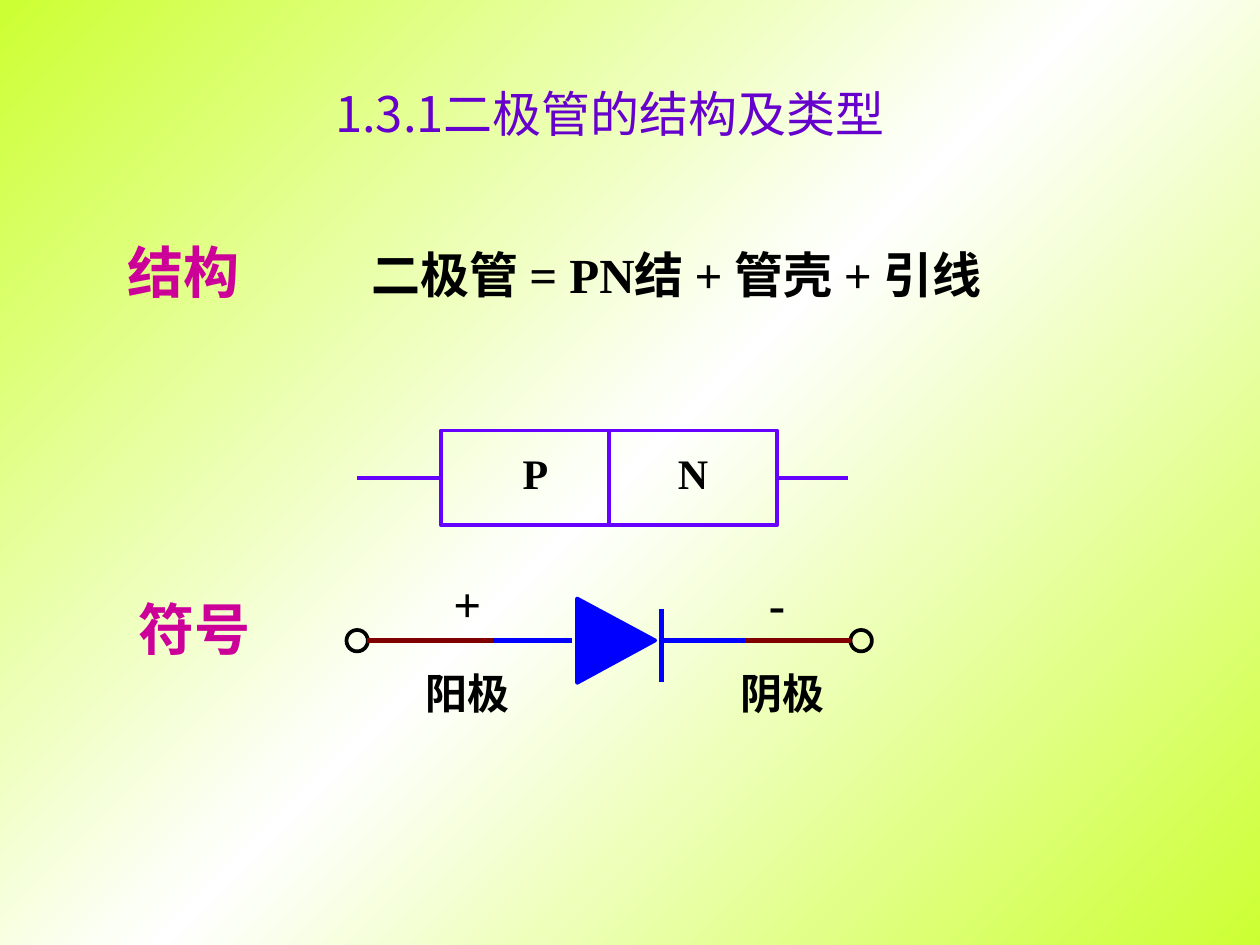
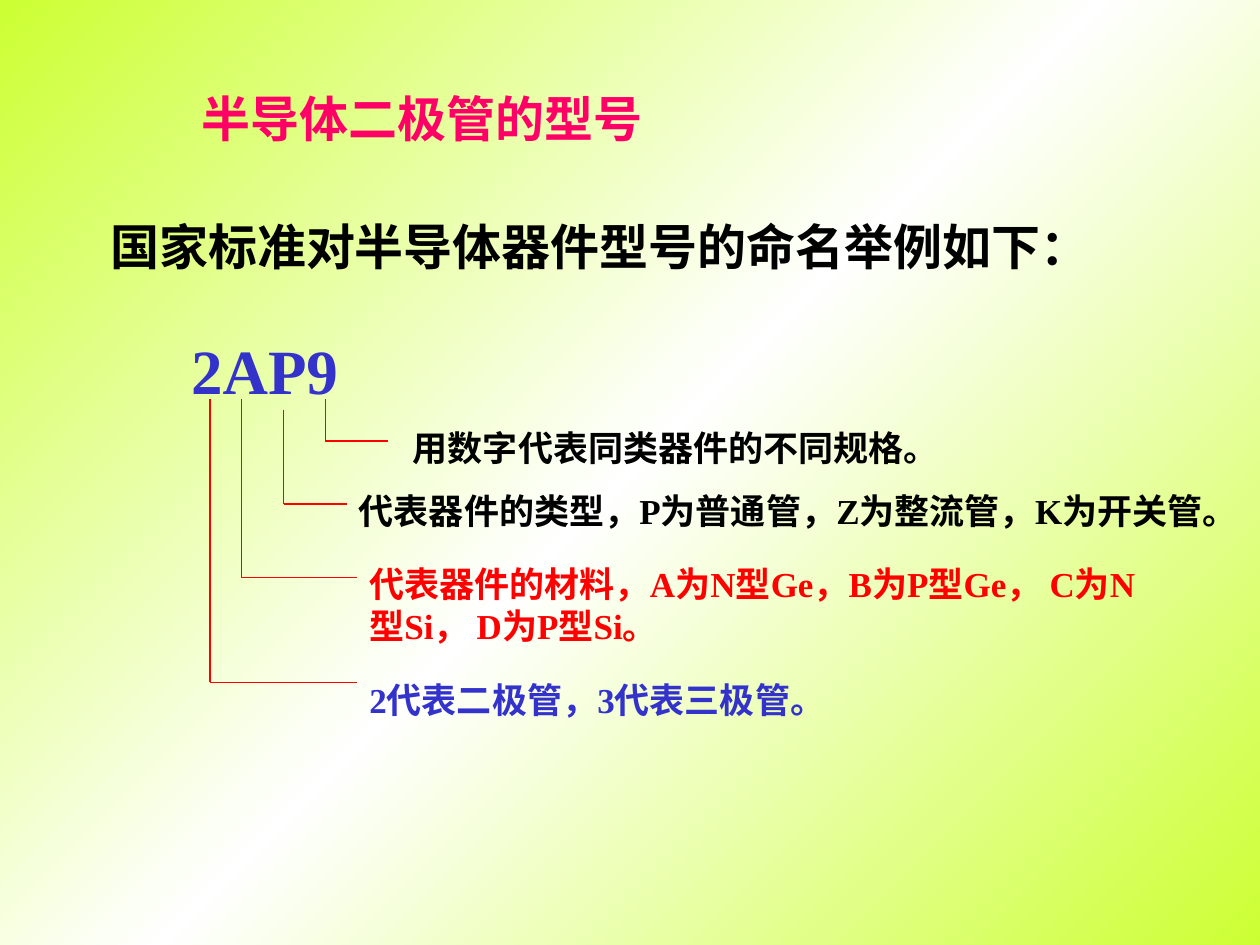
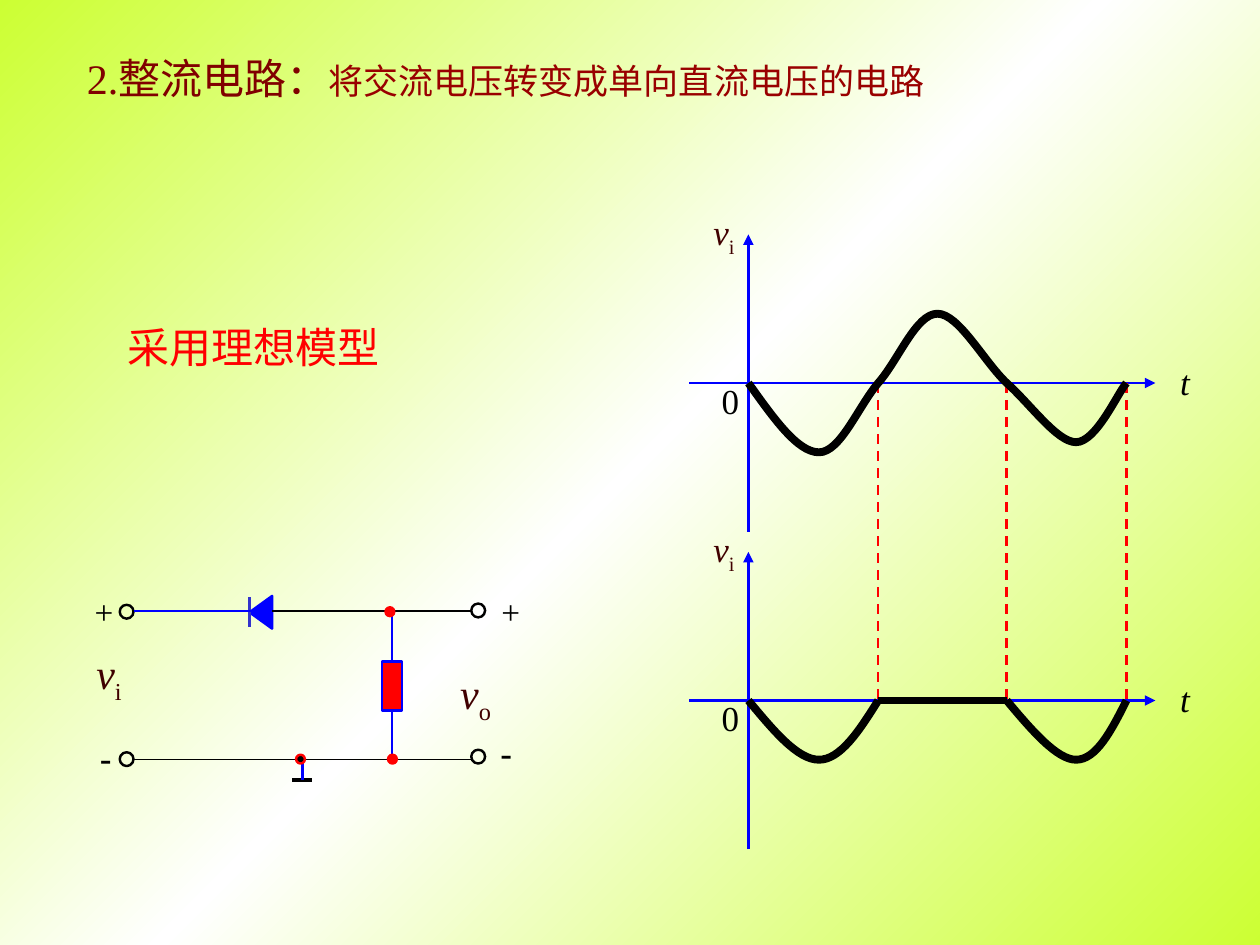
"""Build three lecture slides on the semiconductor diode."""
from copy import deepcopy

from lxml.etree import SubElement
from pptx import Presentation
from pptx.dml.color import RGBColor
from pptx.enum.dml import MSO_LINE
from pptx.enum.shapes import MSO_CONNECTOR, MSO_SHAPE
from pptx.enum.text import MSO_ANCHOR, MSO_AUTO_SIZE, PP_ALIGN
from pptx.oxml.ns import qn
from pptx.util import Emu, Inches, Pt

COLUMNS, ROWS = 10, 7.5
SLIDE_WIDTH = Inches(10)
CELL = SLIDE_WIDTH / COLUMNS
STEP = 1 / 12
TOP, LEFT, BOTTOM, RIGHT = range(4)
SERIF, SANS, CJK = "Times New Roman", "Arial", "Noto Sans CJK SC"
COLOURS = {
    "lime": "CCFF33", "white": "FFFFFF", "black": "000000", "violet": "6600FF",
    "purple": "6600CC", "blue": "0000FF", "indigo": "3333CC", "red": "FF0000",
    "maroon": "800000", "crimson": "990000", "brown": "400000",
    "magenta": "CC0099", "pink": "FF0066",
}

STRUCTURE_TITLE = [("1.3.1二极管的结构及类型", 28, "purple", {"font": CJK})]
FORMULA = "二极管 = PN结 + 管壳 + 引线"
HEADINGS = [("结构", 9 * STEP, 22 * STEP), ("符号", 10 * STEP, 56 * STEP)]
REGIONS = [("P", 4), ("N", 5.25)]
REGION_LEFT, REGION_TOP = 42 * STEP, 41 * STEP
REGION_WIDTH, REGION_HEIGHT = 16 * STEP, 9 * STEP
SYMBOL_AXIS = 61 * STEP
SYMBOL_WIRES = [(63, 71, "blue"), (47, 54.5, "blue"),
                (71, 81, "maroon"), (35, 47, "maroon")]
ELECTRODES = [("阳极", (38, 13), "+", (42, 5)),
              ("阴极", (69, 11), "-", (72, 4))]

MODEL_TITLE = [("半导体二极管的型号", 28, "pink", {"bold": True})]
MODEL_INTRO = "国家标准对半导体器件型号的命名举例如下："
CALLOUTS = [
    ("用数字代表同类器件的不同规格。", "black",
     (31, 38), (37, 42), (3.18, 40 * STEP, 4.37, 0.44), False),
    ("代表器件的类型，P为普通管，Z为整流管，K为开关管。", "black",
     (27, 39), (33, 48), (33 * STEP, 44 * STEP, 7.25, 0.77), True),
    ("代表器件的材料，A为N型Ge，B为P型Ge， C为N型Si， D为P型Si。", "red",
     (23, 38), (34, 55), (34 * STEP, 53 * STEP, 6.5, 0.77), True),
    ("2代表二极管，3代表三极管。", "indigo",
     (20, 38), (34, 65), (34 * STEP, 64 * STEP, 4.17, 0.44), True),
]

RECTIFIER_TITLE = [("2.整流电路：", 24, "maroon", {}),
                   ("将交流电压转变成单向直流电压的电路", 20, "crimson", {})]
UPPER_RAIL, LOWER_RAIL, LOAD_X = 4.85, 6.03, 3.11
TERMINALS = [(3.74, 5.95), (0.95, 5.97), (3.74, 4.79), (0.95, 4.8)]
JUNCTIONS = [(3.08, 5.99, "red"), (3.06, 4.82, "red"), (2.35, 5.99, "black")]
POLARITIES = [("+", 0.75, 4.69), ("+", 3.98, 4.69),
              ("-", 0.79, 5.84), ("-", 3.97, 5.8)]
VOLTAGES = [("i", 0.59, 5.09), ("o", 3.5, 5.25)]
PLOT_AXES = INPUT_AXIS, OUTPUT_AXIS = 3.04, 5.56
PLOT_ORIGIN = 5.94
CROSSINGS = [6.97, 7.99, 8.94]
INPUT_WAVE = [(5.94, 0), (6.14, 0.28), (6.33, 0.55), (6.5, 0.55),
              (6.67, 0.55), (6.81, 0.19), (6.97, 0),
              (7.13, -0.18), (7.27, -0.55), (7.44, -0.55),
              (7.61, -0.55), (7.81, -0.17), (7.99, 0),
              (8.18, 0.17), (8.39, 0.47), (8.54, 0.47),
              (8.7, 0.47), (8.87, 0.08), (8.94, 0)]
OUTPUT_WAVES = [
    [(5.94, 0), (6.14, 0.24), (6.33, 0.47), (6.5, 0.47),
     (6.67, 0.47), (6.82, 0.24), (6.97, 0)],
    [(7.99, 0), (8.19, 0.24), (8.39, 0.47), (8.54, 0.47),
     (8.7, 0.47), (8.82, 0.24), (8.94, 0)],
]


def rgb(colour):
    return RGBColor.from_string(COLOURS[colour])


def cells(*lengths):
    return [Emu(round(length * CELL)) for length in lengths]


def paint_background(master):
    fill = master.background.fill
    fill.gradient()
    fill.gradient_angle = 315
    stop_list = master.element.find(".//" + qn("a:gsLst"))
    stop_list.append(deepcopy(stop_list[0]))
    for index, colour in enumerate(("lime", "white", "lime")):
        stop = fill.gradient_stops[index]
        stop.position = index / 2
        stop.color.rgb = rgb(colour)


def write(holder, runs, align=PP_ALIGN.LEFT, anchor=MSO_ANCHOR.TOP, wrap=True,
          inset=True, spacing=None, indent=0):
    frame = holder.text_frame
    frame.auto_size = MSO_AUTO_SIZE.NONE
    frame.word_wrap = wrap
    frame.vertical_anchor = anchor
    frame.margin_left = frame.margin_right = Inches(0.1 if inset else 0)
    frame.margin_top = frame.margin_bottom = Inches(0.05 if inset else 0)
    paragraph = frame.paragraphs[0]
    paragraph.alignment = align
    if spacing:
        paragraph.line_spacing = spacing
    if indent:
        paragraph._p.get_or_add_pPr().set("indent", str(Inches(indent)))
    for words, size, colour, style in runs:
        run = paragraph.add_run()
        run.text = words
        font = run.font
        font.size = Pt(size)
        font.color.rgb = rgb(colour)
        font.bold = style.get("bold", False)
        font.italic = style.get("italic", False)
        font.name = style.get("font", SERIF)
        properties = run._r.get_or_add_rPr()
        SubElement(properties, qn("a:ea")).set("typeface", CJK)
        if style.get("subscript"):
            properties.set("baseline", "-25000")


def add_text(slide, box, runs, **layout):
    write(slide.shapes.add_textbox(*cells(*box)), runs, **layout)


def add_bold(slide, box, words, size, colour="black", align=PP_ALIGN.CENTER,
             **layout):
    add_text(slide, box, [(words, size, colour, {"bold": True})],
             align=align, **layout)


def add_voltage(slide, box, subscript, size):
    add_text(slide, box, [("v", size, "brown", {"italic": True}),
                          (subscript, size, "brown", {"subscript": True})],
             align=PP_ALIGN.CENTER)


def add_titled_slide(deck, box, runs, **layout):
    slide = deck.slides.add_slide(deck.slide_layouts[5])
    title = slide.shapes.title
    title.left, title.top, title.width, title.height = cells(*box)
    write(title, runs, **layout)
    return slide


def dress(shape, line, weight, fill=None):
    shape.shadow.inherit = False
    if fill:
        shape.fill.solid()
        shape.fill.fore_color.rgb = rgb(fill)
    else:
        shape.fill.background()
    shape.line.color.rgb = rgb(line)
    shape.line.width = Pt(weight)
    return shape


def add_outline(slide, kind, box, line, weight, fill=None):
    return dress(slide.shapes.add_shape(kind, *cells(*box)), line, weight, fill)


def add_line(slide, start, end, colour, weight, dashed=False, arrow=False):
    wire = slide.shapes.add_connector(MSO_CONNECTOR.STRAIGHT,
                                      *cells(*start, *end))
    wire.line.color.rgb = rgb(colour)
    wire.line.width = Pt(weight)
    if dashed:
        wire.line.dash_style = MSO_LINE.DASH
    properties = wire.element.spPr
    if arrow:
        SubElement(properties.find(qn("a:ln")), qn("a:tailEnd")).set(
            "type", "triangle")
    SubElement(properties, qn("a:effectLst"))
    return wire


def add_path(slide, points, line, weight, fill=None, close=False):
    start, *rest = [cells(*point) for point in points]
    builder = slide.shapes.build_freeform(*start)
    builder.add_line_segments(rest, close=close)
    return dress(builder.convert_to_shape(), line, weight, fill)


def add_wave(slide, controls, axis):
    wave = add_path(slide, [(x, axis + y) for x, y in controls], "black", 4.5)
    outline = wave.element.find(".//" + qn("a:path"))
    segments = outline.findall(qn("a:lnTo"))
    for first in range(0, len(segments), 3):
        curve = SubElement(outline, qn("a:cubicBezTo"))
        for segment in segments[first:first + 3]:
            curve.append(segment[0])
            outline.remove(segment)


def build_structure(deck):
    slide = add_titled_slide(deck, (2.56, 0.61, 4.88, 0.57), STRUCTURE_TITLE)
    add_bold(slide, (2.58, 1.44, 5.58, 1.32), FORMULA, 28,
             align=PP_ALIGN.LEFT, anchor=MSO_ANCHOR.MIDDLE, spacing=1.3,
             indent=0.27)
    for heading, left, top in HEADINGS:
        add_bold(slide, (left, top, 1.42, 0.64), heading, 32, "magenta")

    regions = []
    for index, (letter, letter_left) in enumerate(REGIONS):
        left = REGION_LEFT + index * REGION_WIDTH
        regions.append(add_outline(
            slide, MSO_SHAPE.RECTANGLE,
            (left, REGION_TOP, REGION_WIDTH, REGION_HEIGHT), "violet", 2.25))
        add_bold(slide, (letter_left, 3.5, 0.5, 0.5), letter, 24)
    lead_y = REGION_TOP + REGION_HEIGHT / 2
    region_right = REGION_LEFT + 2 * REGION_WIDTH
    for region, side, near, far in ((regions[0], LEFT, REGION_LEFT, 2.83),
                                    (regions[1], RIGHT, region_right, 6.73)):
        lead = add_line(slide, (near, lead_y), (far, lead_y), "violet", 2.25)
        lead.begin_connect(region, side)

    for left in (2.75, 6.75):
        add_outline(slide, MSO_SHAPE.OVAL, (left, 5, 0.17, 0.17), "black", 2.13)
    add_line(slide, (5.25, 58 * STEP), (5.25, 65 * STEP), "blue", 3)
    for start, end, colour in SYMBOL_WIRES:
        add_line(slide, (start * STEP, SYMBOL_AXIS), (end * STEP, SYMBOL_AXIS),
                 colour, 3)
    add_path(slide, [(5.2, SYMBOL_AXIS), (4.58, 4.75), (4.58, 5.42)],
             "blue", 2.13, "blue", close=True)
    for name, (left, width), sign, (sign_left, sign_width) in ELECTRODES:
        add_bold(slide, (left * STEP, 5.25, width * STEP, 0.5), name, 24)
        add_bold(slide, (sign_left * STEP, 4.5, sign_width * STEP, 0.57),
                 sign, 28)


def build_model_code(deck):
    slide = add_titled_slide(deck, (0.83, 0.65, 5.04, 0.57), MODEL_TITLE,
                             align=PP_ALIGN.CENTER, anchor=MSO_ANCHOR.MIDDLE)
    add_bold(slide, (0.78, 1.67, 7.96, 0.57), MODEL_INTRO, 28,
             anchor=MSO_ANCHOR.MIDDLE, wrap=False)
    add_bold(slide, (1.42, 2.58, 1.36, 0.7), "2AP9", 36, "indigo",
             anchor=MSO_ANCHOR.MIDDLE, wrap=False)
    for meaning, colour, (x, top), (end_x, end_y), box, wrap in CALLOUTS:
        elbow = x * STEP, end_y * STEP
        add_line(slide, (x * STEP, top * STEP), elbow, "red", 1)
        add_line(slide, elbow, (end_x * STEP, end_y * STEP), "red", 1)
        add_bold(slide, box, meaning, 20, colour, anchor=MSO_ANCHOR.MIDDLE,
                 align=PP_ALIGN.LEFT if wrap else PP_ALIGN.CENTER, wrap=wrap)


def draw_circuit(slide):
    add_path(slide, [(1.98, 4.86), (2.16, 4.99), (2.16, 4.73)],
             "blue", 1.39, "blue", close=True)
    add_line(slide, (2.16, UPPER_RAIL), (3.74, UPPER_RAIL), "black", 0.75)
    add_line(slide, (1.06, LOWER_RAIL), (3.74, LOWER_RAIL), "black", 0.75)
    for left, top in TERMINALS:
        add_outline(slide, MSO_SHAPE.OVAL, (left, top, 0.11, 0.11),
                    "black", 1.39)
    add_line(slide, (1.98, 4.74), (1.98, 4.98), "indigo", 1.39)
    add_line(slide, (1.06, UPPER_RAIL), (2.01, UPPER_RAIL), "blue", 1.39)
    load = add_outline(slide, MSO_SHAPE.RECTANGLE,
                       (LOAD_X - 0.08, 5.25, 0.16, 0.39), "blue", 1.39, "red")
    for rail, edge, side in ((UPPER_RAIL, 5.25, TOP),
                             (LOWER_RAIL, 5.64, BOTTOM)):
        branch = add_line(slide, (LOAD_X, rail), (LOAD_X, edge), "blue", 1.39)
        branch.end_connect(load, side)
    add_line(slide, (2.32, 6.19), (2.48, 6.19), "black", 2.25)
    add_line(slide, (2.4, LOWER_RAIL), (2.4, 6.19), "blue", 1.39)
    for left, top, fill in JUNCTIONS:
        add_outline(slide, MSO_SHAPE.OVAL, (left, top, 0.07, 0.07),
                    "red", 1.39, fill)
    for sign, left, top in POLARITIES:
        plus = sign == "+"
        size, font = (19, SERIF) if plus else (21, SANS)
        width, height = (0.15, 0.32) if plus else (0.08, 0.35)
        add_text(slide, (left, top, width, height),
                 [(sign, size, "black", {"font": font})],
                 inset=False, wrap=not plus)
    for subscript, left, top in VOLTAGES:
        add_voltage(slide, (left, top, 0.55, 0.56), subscript, 24)


def draw_plots(slide):
    for axis in PLOT_AXES:
        add_line(slide, (5.47, axis), (9.17, axis), "blue", 1.39, arrow=True)
        add_line(slide, (PLOT_ORIGIN, axis + 1.18), (PLOT_ORIGIN, axis - 1.18),
                 "blue", 1.39, arrow=True)
        add_text(slide, (5.63, axis - 0.08, 0.24, 0.44),
                 [("0", 20, "black", {})], align=PP_ALIGN.CENTER)
        add_voltage(slide, (5.47, axis - 1.42, 0.55, 0.48), "i", 20)
        add_text(slide, (9.17, axis - 0.23, 0.47, 0.44),
                 [("t", 20, "black", {"italic": True})], align=PP_ALIGN.CENTER)
    for x in CROSSINGS:
        add_line(slide, (x, INPUT_AXIS), (x, OUTPUT_AXIS), "red", 1.39,
                 dashed=True)
    add_wave(slide, INPUT_WAVE, INPUT_AXIS)
    for wave in OUTPUT_WAVES:
        add_wave(slide, wave, OUTPUT_AXIS)
    add_line(slide, (CROSSINGS[0], OUTPUT_AXIS), (CROSSINGS[1], OUTPUT_AXIS),
             "black", 4.5)


def build_rectifier(deck):
    slide = add_titled_slide(deck, (0.59, 0.37, 8.98, 0.5), RECTIFIER_TITLE)
    add_text(slide, (0.91, 2.5, 2.21, 0.5),
             [("采用理想模型", 24, "red", {})])
    draw_circuit(slide)
    draw_plots(slide)


def main():
    deck = Presentation()
    deck.slide_width, deck.slide_height = cells(COLUMNS, ROWS)
    paint_background(deck.slide_master)
    for build in (build_structure, build_model_code, build_rectifier):
        build(deck)
    deck.save("out.pptx")


if __name__ == "__main__":
    main()
